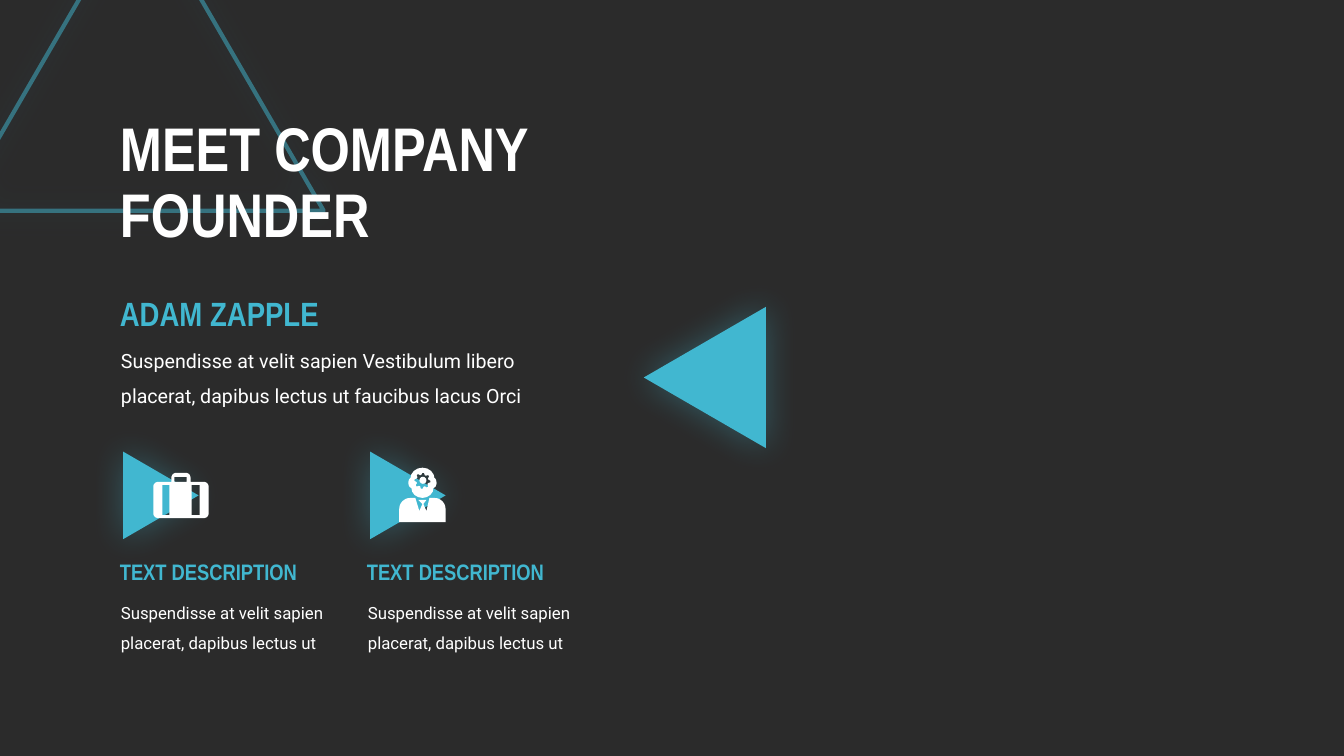
from math import cos, radians, sin

from lxml import etree
from pptx import Presentation
from pptx.dml.color import RGBColor
from pptx.enum.shapes import MSO_SHAPE
from pptx.enum.text import MSO_ANCHOR, MSO_AUTO_SIZE, PP_ALIGN
from pptx.oxml import parse_xml
from pptx.oxml.ns import qn
from pptx.util import Inches, Pt

TRIANGLE, OVAL = MSO_SHAPE.ISOSCELES_TRIANGLE, MSO_SHAPE.OVAL
LEFT, TOP, MIDDLE = PP_ALIGN.LEFT, MSO_ANCHOR.TOP, MSO_ANCHOR.MIDDLE
NO_FIT = MSO_AUTO_SIZE.NONE
HEAD, BODY = "Arial Narrow", "Roboto"
BLUE, WHITE, DARK = "41B7D0", "FFFFFF", "2B2B2B"
GLOW = (
    '<a:effectLst xmlns:a="http://schemas.openxmlformats.org/drawingml/2006/main">'
    f'<a:outerShdw blurRad="{Pt(25)}" dist="0" dir="0" algn="ctr" rotWithShape="0">'
    f'<a:srgbClr val="{BLUE}"><a:alpha val="35000"/></a:srgbClr>'
    "</a:outerShdw></a:effectLst>"
)
rgb = RGBColor.from_string

prs = Presentation()
prs.slide_width, prs.slide_height = Inches(13.33), Inches(7.5)
slide = prs.slides.add_slide(prs.slide_layouts[0])
shapes = slide.shapes
slide.background.fill.solid()
slide.background.fill.fore_color.rgb = rgb(DARK)


def write(text, at, size, font=BODY, color=WHITE, bold=False, gap=1.0,
          anchor=TOP, holder=None):
    """Put text in the given placeholder, or in a new text box."""
    place = [Inches(n) for n in at]
    box = holder or shapes.add_textbox(*place)
    box.left, box.top, box.width, box.height = place
    frame = box.text_frame
    frame.word_wrap, frame.auto_size = True, NO_FIT
    frame.vertical_anchor = anchor
    para = frame.paragraphs[0]
    para.text = text
    para.alignment, para.line_spacing, para.space_before = LEFT, gap, Pt(0)
    for run in para.runs:
        run.font.name, run.font.size, run.font.bold = font, Pt(size), bold
        run.font.color.rgb = rgb(color)


def arc(x, y, wide, high, start, end):
    """Points on an ellipse, clockwise in degrees from the right."""
    turns = [radians(start + (end - start) * n / 8) for n in range(9)]
    return [(x + wide * cos(t), y + high * sin(t)) for t in turns]


# Glowing triangles: left, top, width, height, rotation, filled
for *at, turn, solid in [
    (-0.43, -1.05, 3.64, 3.14, 0, False),
    (6.29, 3.14, 1.4, 1.21, 270, True),
    (1.16, 4.54, 0.87, 0.75, 90, True),
    (3.61, 4.54, 0.87, 0.75, 90, True),
]:
    tri = shapes.add_shape(TRIANGLE, *[Inches(n) for n in at])
    tri.rotation = turn
    if solid:
        tri.fill.solid()
        tri.fill.fore_color.rgb = rgb(BLUE)
        tri.line.fill.background()
    else:
        tri.fill.background()
        tri.line.width = Pt(3)
        tri.line.color.rgb = rgb(BLUE)
        tint = tri.line._ln.find(".//" + qn("a:srgbClr"))
        etree.SubElement(tint, qn("a:alpha")).set("val", "50000")
    tri._element.spPr.append(parse_xml(GLOW))

# Title and founder
title, intro = shapes.title, slide.placeholders[1]
for holder in (title, intro):
    shapes._spTree.append(holder._element)
write("MEET COMPANY\nFOUNDER", (1.09, 1.04, 5.62, 1.58), 44, font=HEAD,
      bold=True, gap=0.9, anchor=MIDDLE, holder=title)
write("Suspendisse at velit sapien Vestibulum libero placerat, "
      "dapibus lectus ut faucibus lacus Orci",
      (1.1, 3.29, 4.51, 0.77), 14, gap=1.5, holder=intro)
write("ADAM ZAPPLE", (1.09, 2.86, 2.45, 0.5), 24, font=HEAD, color=BLUE, bold=True)

# Two descriptions
for left in (1.09, 3.54):
    write("Suspendisse at velit sapien placerat, dapibus lectus ut",
          (left + 0.01, 5.83, 2.32, 0.67), 12, gap=1.5)
    write("TEXT DESCRIPTION", (left, 5.49, 2.21, 0.37), 16,
          font=HEAD, color=BLUE, bold=True)

# Icons: each is a list of contours, the later ones cut holes
case = [
    arc(2.02, 4.83, 0.05, 0.05, -90, 0) + arc(2.02, 5.09, 0.05, 0.05, 0, 90)
    + arc(1.57, 5.09, 0.05, 0.05, 90, 180) + arc(1.57, 4.83, 0.05, 0.05, 180, 270)
    + [(1.7, 4.78)] + arc(1.75, 4.74, 0.05, 0.05, 180, 270)
    + arc(1.84, 4.74, 0.05, 0.05, 270, 360) + [(1.89, 4.78)]
]
for x1, y1, x2, y2 in [(1.61, 4.81, 1.68, 5.11), (1.73, 4.73, 1.85, 4.78),
                       (1.9, 4.81, 1.98, 5.11)]:
    case.append([(x1, y2), (x1, y1), (x2, y1), (x2, y2)])

suit = [
    arc(4.31, 5.05, 0.11, 0.11, -90, 0) + [(4.42, 5.18), (3.96, 5.18)]
    + arc(4.07, 5.05, 0.11, 0.11, 180, 270)
    + [(4.12, 4.94), (4.16, 5.07), (4.19, 5), (4.15, 4.96),
       (4.23, 4.96), (4.2, 5), (4.23, 5.07), (4.26, 4.94)]
]
gear = []
for n in range(32):
    reach = 0.08 if n % 4 < 2 else 0.06
    spin = radians(n * 11.25)
    gear.append((4.19 + reach * cos(spin), 4.77 + reach * sin(spin)))
face = [
    arc(4.19, 4.75, 0.12, 0.11, 180, 360) + arc(4.3, 4.79, 0.03, 0.05, -70, 80)
    + arc(4.19, 4.84, 0.11, 0.1, 0, 180) + arc(4.08, 4.79, 0.03, 0.05, 100, 250),
    gear,
]

icons = []
for paths in (case, suit, face):
    pen = None
    for path in paths:
        dots = [(x * 1000, y * 1000) for x, y in path]
        if pen is None:
            pen = shapes.build_freeform(*dots[0], scale=Inches(1) / 1000)
        else:
            pen.move_to(*dots[0])
        pen.add_line_segments(dots[1:], close=True)
    icons.append(pen.convert_to_shape())
icons.append(shapes.add_shape(OVAL, Inches(4.16), Inches(4.73),
                              Inches(0.07), Inches(0.07)))
for icon in icons:
    icon.shadow.inherit = False
    icon.fill.solid()
    icon.fill.fore_color.rgb = rgb(WHITE)
    icon.line.fill.background()
shapes.add_group_shape(icons[1:])

prs.save("out.pptx")
